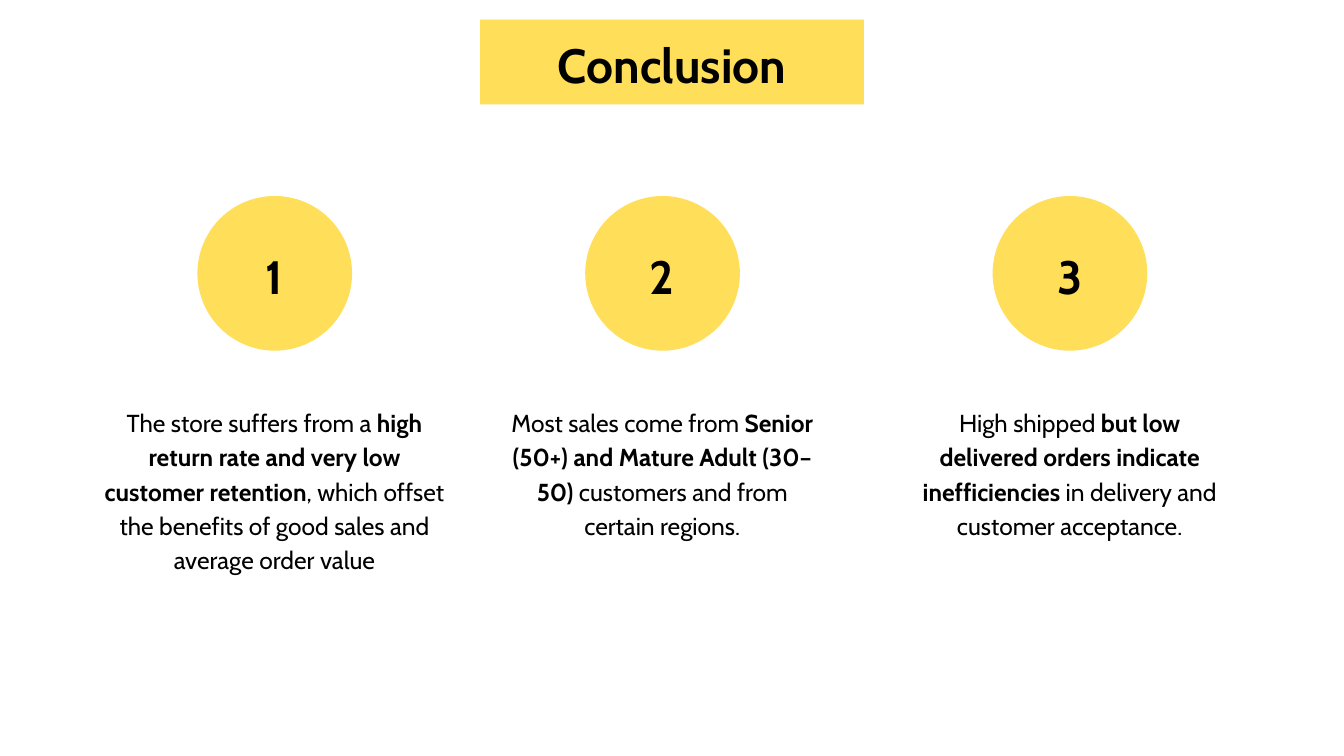
"""Build the conclusion slide with three numbered findings."""
import dataclasses

import pptx
import pptx.dml.color
import pptx.enum.shapes
import pptx.enum.text
import pptx.util

PX = 9525


@dataclasses.dataclass(frozen=True)
class Theme:
    font: str = "Cabin"
    ink: str = "000000"
    accent: str = "FFDE59"
    title_size: float = 51.5
    number_size: float = 50.1
    body_size: float = 26.3
    line_ratio: float = 1.4


class SlideBuilder:
    def __init__(self, slide, theme):
        self.slide = slide
        self.theme = theme

    def panel(self, kind, left, top, width, height):
        sp = self.slide.shapes.add_shape(kind, left * PX, top * PX, width * PX, height * PX)
        sp.shadow.inherit = False
        sp.fill.solid()
        sp.fill.fore_color.rgb = pptx.dml.color.RGBColor.from_string(self.theme.accent)
        sp.line.fill.background()

    def title(self, text, left, top, width, height):
        sp = self.slide.shapes.title
        sp.left, sp.top, sp.width, sp.height = (v * PX for v in (left, top, width, height))
        self.slide.shapes._spTree.append(sp._element)
        sp.text_frame.text = text
        self.style(sp.text_frame, self.theme.title_size, bold=True)

    def number(self, text, left, top, width, height):
        sp = self.slide.shapes.add_textbox(left * PX, top * PX, width * PX, height * PX)
        sp.text_frame.text = text
        self.style(sp.text_frame, self.theme.number_size, bold=True)

    def finding(self, before, strong, after, left, top, width, height):
        sp = self.slide.shapes.add_textbox(left * PX, top * PX, width * PX, height * PX)
        p = sp.text_frame.paragraphs[0]
        for text in (before, strong, after):
            p.add_run().text = text
        self.style(sp.text_frame, self.theme.body_size)
        p.runs[1].font.bold = True

    def style(self, tf, size, bold=False):
        tf.word_wrap = True
        tf.auto_size = pptx.enum.text.MSO_AUTO_SIZE.NONE
        tf.vertical_anchor = pptx.enum.text.MSO_ANCHOR.TOP
        tf.margin_left = tf.margin_top = tf.margin_right = tf.margin_bottom = 0
        p = tf.paragraphs[0]
        p.alignment = pptx.enum.text.PP_ALIGN.CENTER
        p.space_before = pptx.util.Pt(0)
        p.line_spacing = pptx.util.Pt(round(size * self.theme.line_ratio, 1))
        for r in p.runs:
            r.font.name = self.theme.font
            r.font.size = pptx.util.Pt(size)
            r.font.bold = bold
            r.font.color.rgb = pptx.dml.color.RGBColor.from_string(self.theme.ink)


def main():
    prs = pptx.Presentation()
    prs.slide_width, prs.slide_height = 1920 * PX, 1080 * PX
    s = SlideBuilder(prs.slides.add_slide(prs.slide_layouts[5]), Theme())
    shapes = pptx.enum.shapes.MSO_SHAPE

    s.panel(shapes.RECTANGLE, 686, 28, 548, 121)
    s.title("Conclusion", 772, 37, 376, 92)

    findings = [
        (392, 490, 292, "The store suffers from a",
         " high return rate and very low customer retention",
         ", which offset the benefits of good sales and average order value"),
        (946, 438, 194, "Most sales come from ",
         "Senior (50+) and Mature Adult (30–50) ",
         "customers and from certain regions."),
        (1528, 438, 243, "High shipped ",
         "but low delivered orders indicate inefficiencies",
         " in delivery and customer acceptance."),
    ]
    circle, label = 221, 250
    for i, (center, width, height, *parts) in enumerate(findings, 1):
        s.panel(shapes.OVAL, center - circle // 2, 280, circle, circle)
        s.number(str(i), center - label // 2, 340, label, 90)
        s.finding(*parts, center - width // 2, 576, width, height)

    prs.save("out.pptx")


if __name__ == "__main__":
    main()
